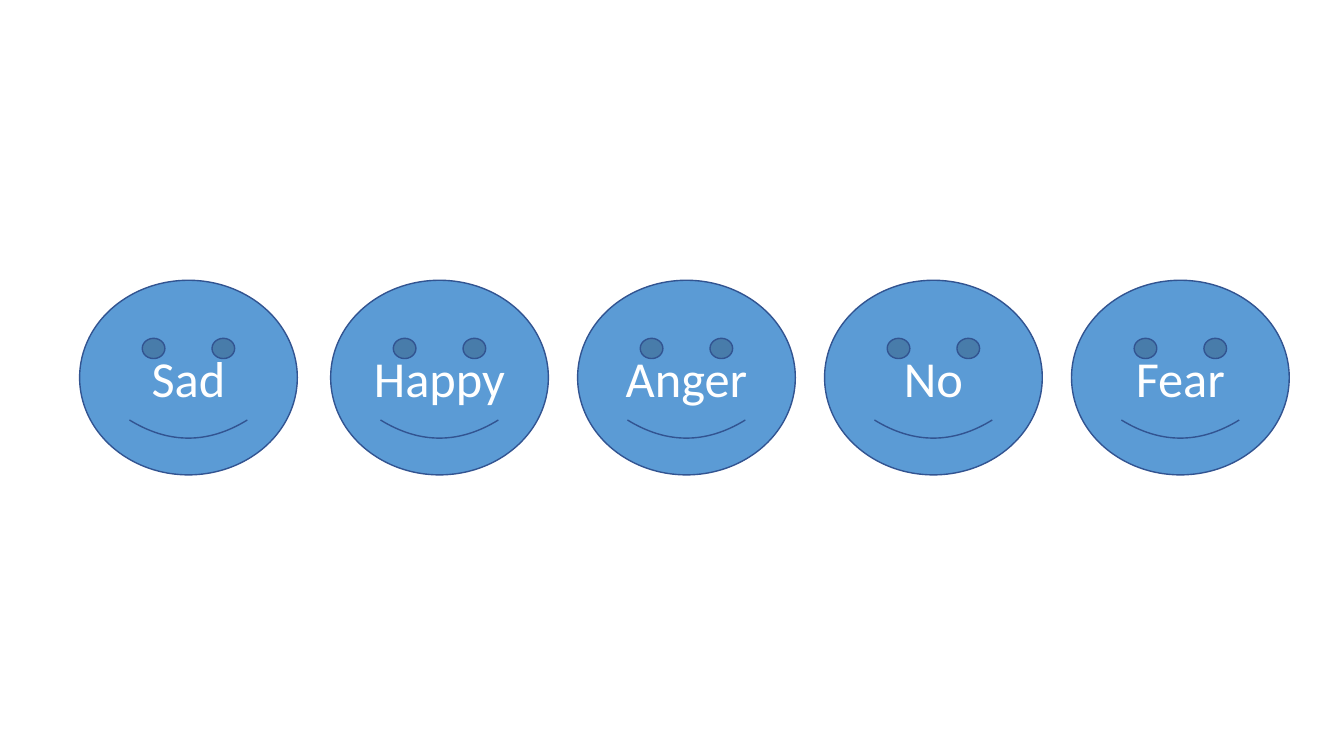
from pptx import Presentation
from pptx.dml.color import RGBColor
from pptx.enum.shapes import MSO_SHAPE
from pptx.enum.text import MSO_ANCHOR, PP_ALIGN
from pptx.util import Pt

SMILEY = MSO_SHAPE.SMILEY_FACE
MIDDLE = MSO_ANCHOR.MIDDLE
CENTER = PP_ALIGN.CENTER
BLANK = 6

FACE_FILL = "5B9BD5"
FACE_LINE = "325491"
LABEL_FONT = {"name": "Calibri", "size": Pt(36)}
LABEL_COLOR = "FFFFFF"

MOODS = ["Sad", "Happy", "Anger", "No", "Fear"]
ROW_BOX = (56.9, 200.2, 864, 139)
FACE_WIDTH = 155.5
PITCH = 176.4


def color(code):
    return RGBColor.from_string(code)


def add_face(slide, mood, left, top, width, height):
    face = slide.shapes.add_shape(SMILEY, Pt(left), Pt(top), Pt(width), Pt(height))
    face.shadow.inherit = False
    face.fill.solid()
    face.fill.fore_color.rgb = color(FACE_FILL)
    face.line.color.rgb = color(FACE_LINE)
    face.line.width = Pt(1)

    frame = face.text_frame
    frame.vertical_anchor = MIDDLE
    label = frame.paragraphs[0]
    label.alignment = CENTER
    run = label.add_run()
    run.text = mood
    for key, value in LABEL_FONT.items():
        setattr(run.font, key, value)
    run.font.color.rgb = color(LABEL_COLOR)


def add_row(slide, moods, left, top, width, height):
    """Place the first face at the left edge and space the rest back from the right."""
    last = len(moods) - 1
    end = left + width - FACE_WIDTH
    for index, mood in enumerate(moods):
        x = end - (last - index) * PITCH if index else left
        add_face(slide, mood, x, top, FACE_WIDTH, height)


def main():
    deck = Presentation()
    deck.slide_width = Pt(960)
    deck.slide_height = Pt(540)
    slide = deck.slides.add_slide(deck.slide_layouts[BLANK])
    add_row(slide, MOODS, *ROW_BOX)
    deck.save("out.pptx")


if __name__ == "__main__":
    main()
